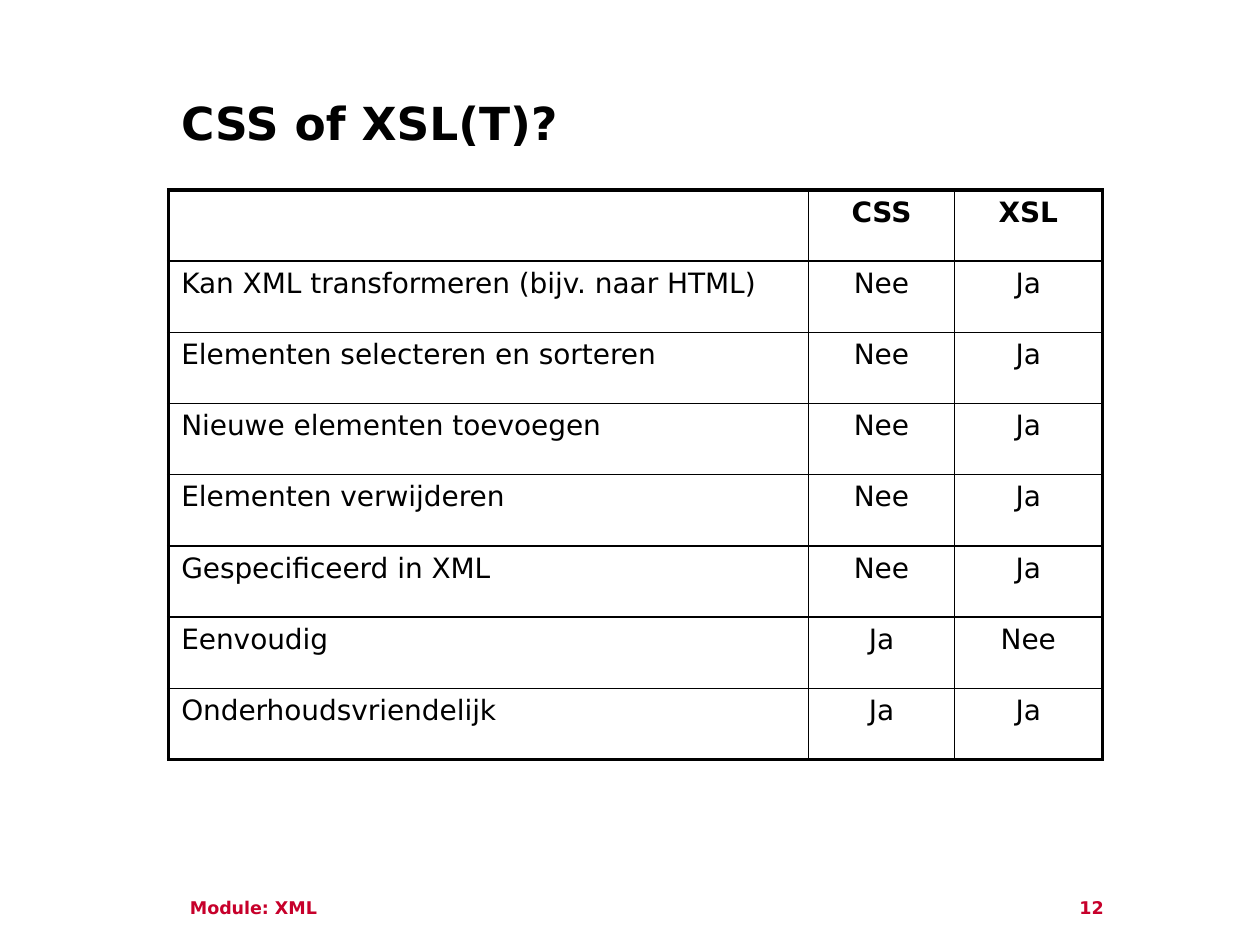
from dataclasses import dataclass

from lxml import etree
from pptx import Presentation
from pptx.dml.color import RGBColor
from pptx.enum.text import MSO_ANCHOR, PP_ALIGN
from pptx.oxml.ns import qn
from pptx.util import Cm, Pt

LEFT, CENTER = PP_ALIGN.LEFT, PP_ALIGN.CENTER
TOP = MSO_ANCHOR.TOP


@dataclass(frozen=True)
class Theme:
    font: str = "DejaVu Sans"
    ink: str = "000000"
    accent: str = "C7002B"
    title_size: int = 26
    table_size: int = 16
    footer_size: int = 10
    frame_width: float = 2.25
    grid_width: float = 1


THEME = Theme()
COLUMN_WIDTHS = (12.9, 2.94, 2.98)
ROW_HEIGHT = 1.435
ROWS = (
    ("", "CSS", "XSL"),
    ("Kan XML transformeren (bijv. naar HTML)", "Nee", "Ja"),
    ("Elementen selecteren en sorteren", "Nee", "Ja"),
    ("Nieuwe elementen toevoegen", "Nee", "Ja"),
    ("Elementen verwijderen", "Nee", "Ja"),
    ("Gespecificeerd in XML", "Nee", "Ja"),
    ("Eenvoudig", "Ja", "Nee"),
    ("Onderhoudsvriendelijk", "Ja", "Ja"),
)


def write_text(frame, text, size, color, bold, align=LEFT):
    frame.text = text
    para = frame.paragraphs[0]
    para.alignment = align
    for span in para.runs:
        span.font.name = THEME.font
        span.font.size = Pt(size)
        span.font.bold = bold
        span.font.color.rgb = RGBColor.from_string(color)


def add_label(page, text, left, top, width, height, size, color):
    box = page.shapes.add_textbox(Cm(left), Cm(top), Cm(width), Cm(height))
    box.text_frame.word_wrap = True
    box.text_frame.vertical_anchor = TOP
    write_text(box.text_frame, text, size, color, bold=True)


def set_borders(cell, widths):
    """Draw the cell's sides; widths in points run left, right, top, bottom."""
    properties = cell._tc.get_or_add_tcPr()
    for position, (side, width) in enumerate(zip("LRTB", widths)):
        line = etree.Element(qn(f"a:ln{side}"), w=str(Pt(width)))
        fill = etree.SubElement(line, qn("a:solidFill"))
        etree.SubElement(fill, qn("a:srgbClr"), val=THEME.ink)
        properties.insert(position, line)


def add_comparison(page, left, top):
    row_count, column_count = len(ROWS), len(COLUMN_WIDTHS)
    table = page.shapes.add_table(
        row_count, column_count, Cm(left), Cm(top),
        Cm(sum(COLUMN_WIDTHS)), Cm(ROW_HEIGHT * row_count),
    ).table
    table.first_row = table.horz_banding = False
    for column, width in zip(table.columns, COLUMN_WIDTHS):
        column.width = Cm(width)

    for r, texts in enumerate(ROWS):
        table.rows[r].height = Cm(ROW_HEIGHT)
        for c, text in enumerate(texts):
            cell = table.cell(r, c)
            cell.fill.background()
            cell.vertical_anchor = TOP
            write_text(cell.text_frame, text, THEME.table_size, THEME.ink,
                       bold=r == 0, align=CENTER if c else LEFT)
            on_frame = (c == 0, c == column_count - 1, r == 0, r == row_count - 1)
            set_borders(cell, [THEME.frame_width if outer else THEME.grid_width
                               for outer in on_frame])


def main():
    deck = Presentation()
    deck.slide_width, deck.slide_height = Cm(25.4), Cm(19.05)
    page = deck.slides.add_slide(deck.slide_layouts[6])

    add_label(page, "Module: XML", 3.58, 17.96, 13.5, 0.7,
              THEME.footer_size, THEME.accent)
    add_label(page, "12", 21.51, 17.96, 2.5, 0.7,
              THEME.footer_size, THEME.accent)
    add_label(page, "CSS of XSL(T)?", 3.4, 1.8, 18.82, 1.6,
              THEME.title_size, THEME.ink)
    add_comparison(page, 3.4, 3.83)

    deck.save("out.pptx")


if __name__ == "__main__":
    main()
